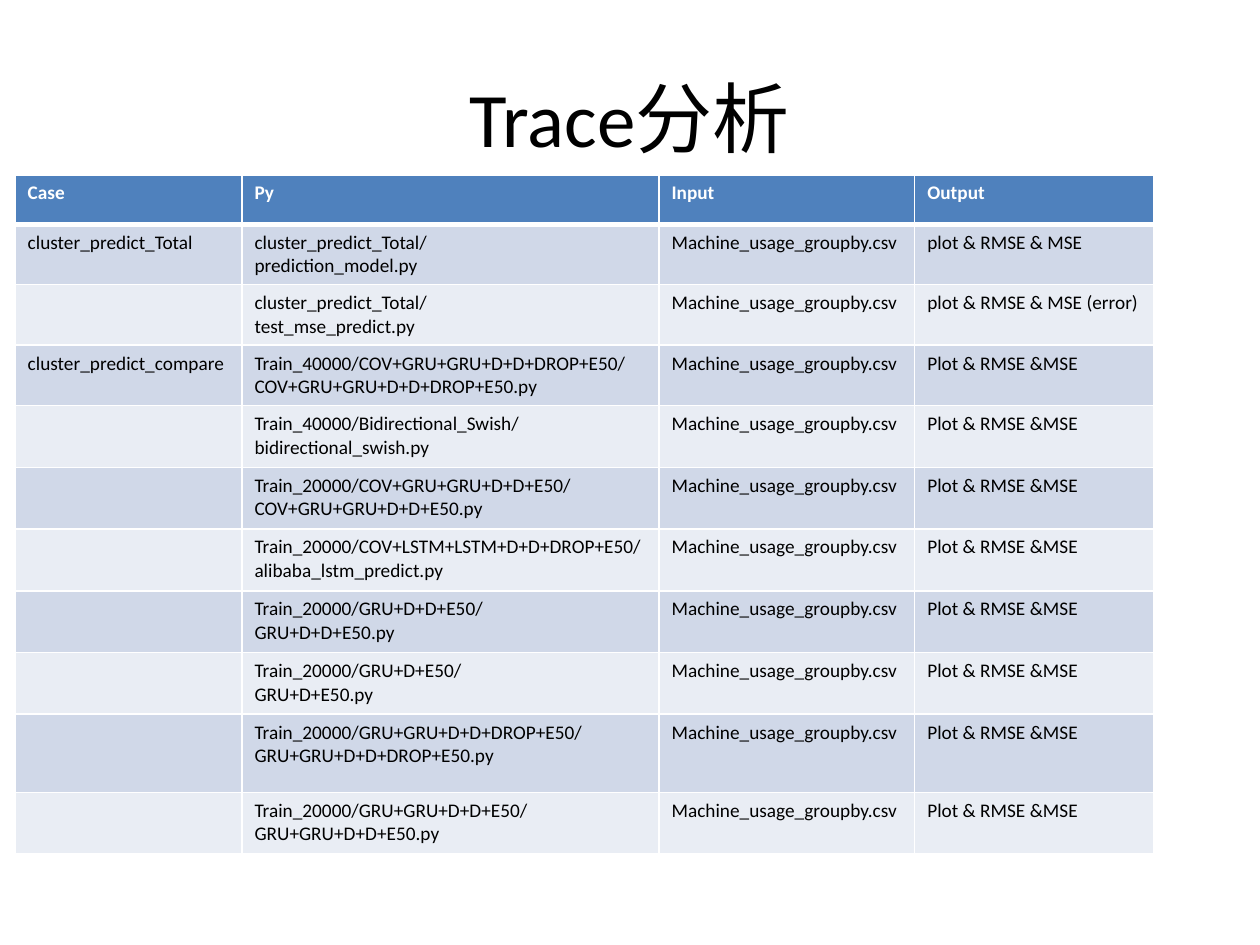
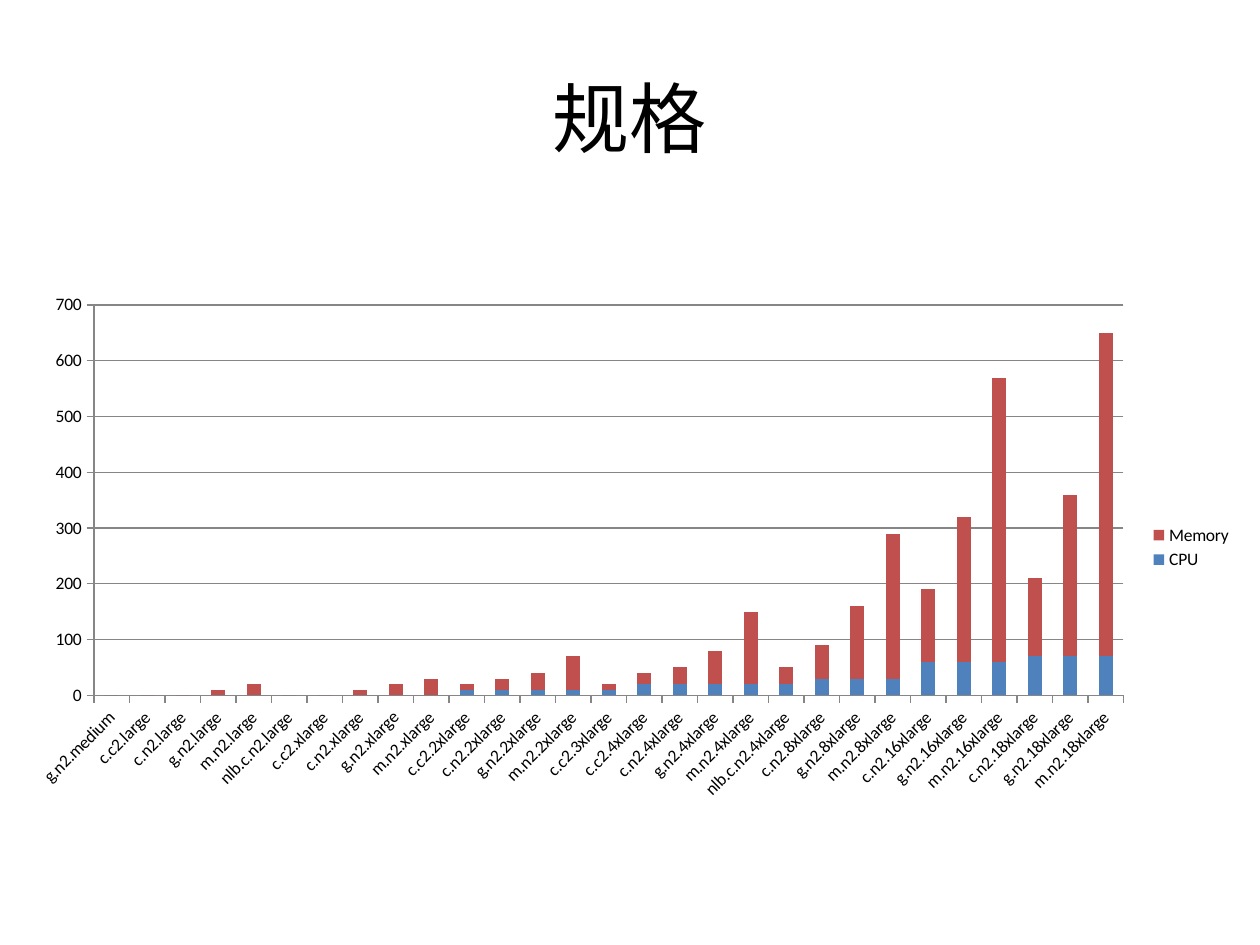
from dataclasses import dataclass

from lxml import etree
from pptx import Presentation
from pptx.chart.data import CategoryChartData
from pptx.dml.color import RGBColor
from pptx.enum.chart import XL_CHART_TYPE, XL_LEGEND_POSITION, XL_TICK_MARK
from pptx.enum.text import MSO_ANCHOR, PP_ALIGN
from pptx.oxml.ns import qn
from pptx.slide import Slide
from pptx.table import _Cell
from pptx.util import Inches, Pt

STACKED = XL_CHART_TYPE.COLUMN_STACKED
LEGEND_RIGHT = XL_LEGEND_POSITION.RIGHT
TICK_OUTSIDE = XL_TICK_MARK.OUTSIDE
MIDDLE = MSO_ANCHOR.MIDDLE
CENTER = PP_ALIGN.CENTER

FONT = "Calibri"
COLORS = {
    "white": "FFFFFF",
    "black": "000000",
    "blue": "4F81BD",
    "red": "C0504D",
    "band_dark": "D0D8E8",
    "band_light": "E9EDF4",
    "axis": "868686",
}

# Trace table
HEADERS = ("Case", "Py", "Input", "Output")
COLUMN_WIDTHS = (1.8, 3.31, 2.03, 1.9)
HEADER_HEIGHT = 0.39
INPUT_FILE = "Machine_usage_groupby.csv"


@dataclass(frozen=True)
class TraceRow:
    folder: str
    script: str
    case: str = ""
    output: str = "Plot & RMSE &MSE"
    height: float = 0.49

    def cell_lines(self) -> list[list[str]]:
        case_lines = [self.case] if self.case else []
        return [case_lines, [self.folder, self.script], [INPUT_FILE], [self.output]]


TRACE_ROWS = (
    TraceRow("cluster_predict_Total/", "prediction_model.py",
             "cluster_predict_Total", "plot & RMSE & MSE", 0.48),
    TraceRow("cluster_predict_Total/", "test_mse_predict.py",
             output="plot & RMSE & MSE (error)", height=0.48),
    TraceRow("Train_40000/COV+GRU+GRU+D+D+DROP+E50/", "COV+GRU+GRU+D+D+DROP+E50.py",
             "cluster_predict_compare", height=0.48),
    TraceRow("Train_40000/Bidirectional_Swish/", "bidirectional_swish.py"),
    TraceRow("Train_20000/COV+GRU+GRU+D+D+E50/", "COV+GRU+GRU+D+D+E50.py"),
    TraceRow("Train_20000/COV+LSTM+LSTM+D+D+DROP+E50/", "alibaba_lstm_predict.py"),
    TraceRow("Train_20000/GRU+D+D+E50/", "GRU+D+D+E50.py"),
    TraceRow("Train_20000/GRU+D+E50/", "GRU+D+E50.py"),
    TraceRow("Train_20000/GRU+GRU+D+D+DROP+E50/", "GRU+GRU+D+D+DROP+E50.py",
             height=0.62),
    TraceRow("Train_20000/GRU+GRU+D+D+E50/", "GRU+GRU+D+D+E50.py"),
)


# Instance specifications
@dataclass(frozen=True)
class Instance:
    name: str
    cpu: int
    memory: int


INSTANCES = (
    Instance("g.n2.medium", 0, 0),
    Instance("c.c2.large", 0, 0),
    Instance("c.n2.large", 0, 0),
    Instance("g.n2.large", 0, 10),
    Instance("m.n2.large", 0, 20),
    Instance("nlb.c.n2.large", 0, 0),
    Instance("c.c2.xlarge", 0, 0),
    Instance("c.n2.xlarge", 0, 10),
    Instance("g.n2.xlarge", 0, 20),
    Instance("m.n2.xlarge", 0, 30),
    Instance("c.c2.2xlarge", 10, 10),
    Instance("c.n2.2xlarge", 10, 20),
    Instance("g.n2.2xlarge", 10, 30),
    Instance("m.n2.2xlarge", 10, 60),
    Instance("c.c2.3xlarge", 10, 10),
    Instance("c.c2.4xlarge", 20, 20),
    Instance("c.n2.4xlarge", 20, 30),
    Instance("g.n2.4xlarge", 20, 60),
    Instance("m.n2.4xlarge", 20, 130),
    Instance("nlb.c.n2.4xlarge", 20, 30),
    Instance("c.n2.8xlarge", 30, 60),
    Instance("g.n2.8xlarge", 30, 130),
    Instance("m.n2.8xlarge", 30, 260),
    Instance("c.n2.16xlarge", 60, 130),
    Instance("g.n2.16xlarge", 60, 260),
    Instance("m.n2.16xlarge", 60, 510),
    Instance("c.n2.18xlarge", 70, 140),
    Instance("g.n2.18xlarge", 70, 290),
    Instance("m.n2.18xlarge", 70, 580),
)


def rgb(name: str) -> RGBColor:
    return RGBColor.from_string(COLORS[name])


def add_run(paragraph, text: str, size: float, color: str, bold: bool = False) -> None:
    run = paragraph.add_run()
    run.text = text
    run.font.name = FONT
    run.font.size = Pt(size)
    run.font.bold = bold
    run.font.color.rgb = rgb(color)


def add_titled_slide(presentation, title: str) -> Slide:
    slide = presentation.slides.add_slide(presentation.slide_layouts[6])
    box = slide.shapes.add_textbox(Inches(0.5), Inches(0.3), Inches(9), Inches(1.25))
    frame = box.text_frame
    frame.word_wrap = True
    frame.vertical_anchor = MIDDLE
    paragraph = frame.paragraphs[0]
    paragraph.alignment = CENTER
    add_run(paragraph, title, 44, "black")
    return slide


def set_borders(cell: _Cell, bottom: float = 1) -> None:
    properties = cell._tc.get_or_add_tcPr()
    for tag, width in (("a:lnL", 1), ("a:lnR", 1), ("a:lnT", 1), ("a:lnB", bottom)):
        line = etree.SubElement(properties, qn(tag), w=str(Pt(width)))
        fill = etree.SubElement(line, qn("a:solidFill"))
        etree.SubElement(fill, qn("a:srgbClr"), val=COLORS["white"])


def fill_cell(cell: _Cell, lines: list[str], fill: str, color: str, bold: bool) -> None:
    cell.fill.solid()
    cell.fill.fore_color.rgb = rgb(fill)
    frame = cell.text_frame
    for index, line in enumerate(lines):
        paragraph = frame.add_paragraph() if index else frame.paragraphs[0]
        add_run(paragraph, line, 11, color, bold)


def add_trace_table(slide: Slide) -> None:
    heights = [HEADER_HEIGHT] + [row.height for row in TRACE_ROWS]
    table = slide.shapes.add_table(
        len(heights), len(HEADERS), Inches(0.12), Inches(1.39),
        Inches(sum(COLUMN_WIDTHS)), Inches(sum(heights))).table
    for column, width in zip(table.columns, COLUMN_WIDTHS):
        column.width = Inches(width)
    for row, height in zip(table.rows, heights):
        row.height = Inches(height)

    # Header row with a thick rule below
    for column_index, header in enumerate(HEADERS):
        cell = table.cell(0, column_index)
        set_borders(cell, bottom=3)
        fill_cell(cell, [header], "blue", "white", True)

    # Banded body rows
    for row_index, trace_row in enumerate(TRACE_ROWS, start=1):
        band = "band_dark" if row_index % 2 else "band_light"
        for column_index, lines in enumerate(trace_row.cell_lines()):
            cell = table.cell(row_index, column_index)
            set_borders(cell)
            fill_cell(cell, lines, band, "black", False)


def add_specification_chart(slide: Slide) -> None:
    data = CategoryChartData()
    data.categories = [instance.name for instance in INSTANCES]
    data.add_series("CPU", [instance.cpu for instance in INSTANCES])
    data.add_series("Memory", [instance.memory for instance in INSTANCES])
    chart = slide.shapes.add_chart(
        STACKED, Inches(0.12), Inches(2.26), Inches(9.76), Inches(4.17), data).chart
    chart.has_title = False
    chart.font.name = FONT
    chart.font.size = Pt(10)
    chart.font.color.rgb = rgb("black")

    # Columns
    plot = chart.plots[0]
    plot.gap_width = 150
    plot.overlap = 100
    plot.vary_by_categories = False
    for series, color in zip(plot.series, ("blue", "red")):
        series.format.fill.solid()
        series.format.fill.fore_color.rgb = rgb(color)

    # Axes, gridlines and legend
    chart.value_axis.has_major_gridlines = True
    for axis in (chart.category_axis, chart.value_axis):
        axis.major_tick_mark = TICK_OUTSIDE
    for part in (chart.category_axis, chart.value_axis, chart.value_axis.major_gridlines):
        part.format.line.color.rgb = rgb("axis")
        part.format.line.width = Pt(0.75)
    chart.has_legend = True
    chart.legend.position = LEGEND_RIGHT
    chart.legend.include_in_layout = False


def main() -> None:
    presentation = Presentation()
    presentation.slide_width = Inches(10)
    presentation.slide_height = Inches(7.5)
    add_trace_table(add_titled_slide(presentation, "Trace分析"))
    add_specification_chart(add_titled_slide(presentation, "规格"))
    presentation.save("out.pptx")


if __name__ == "__main__":
    main()
